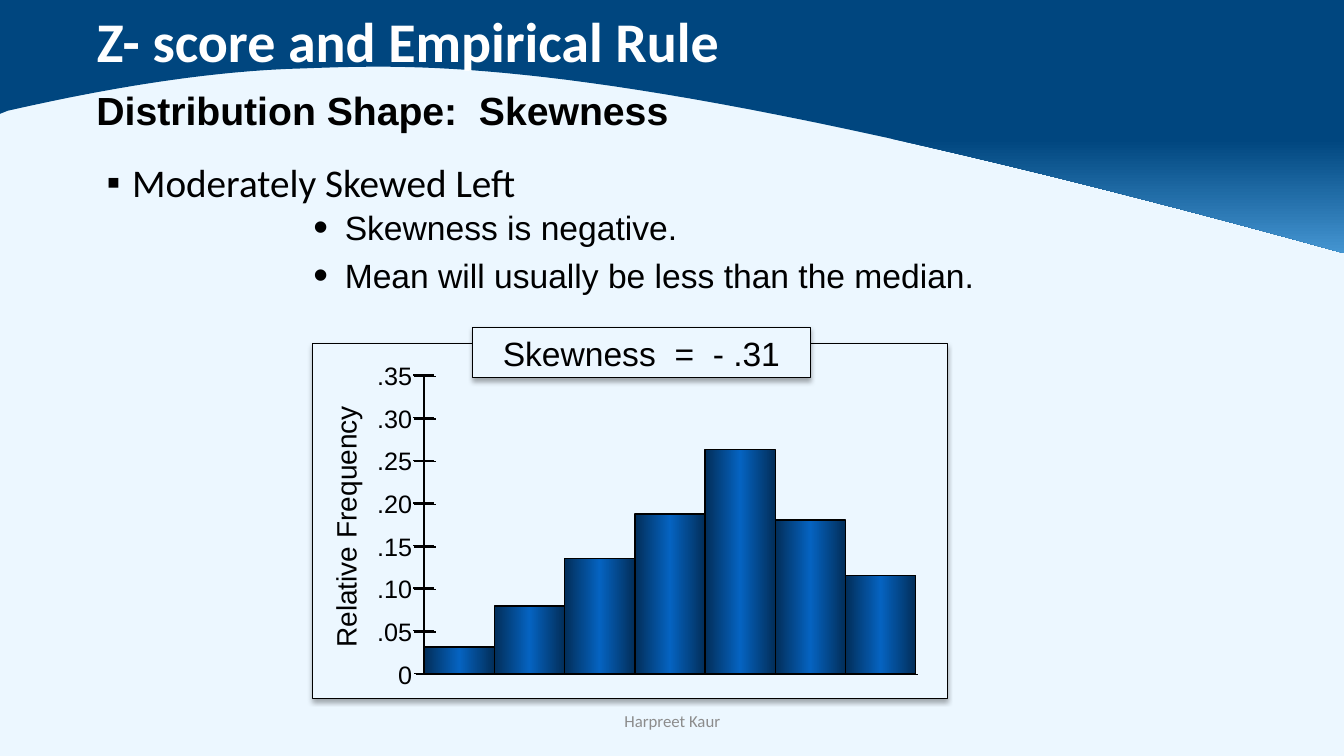
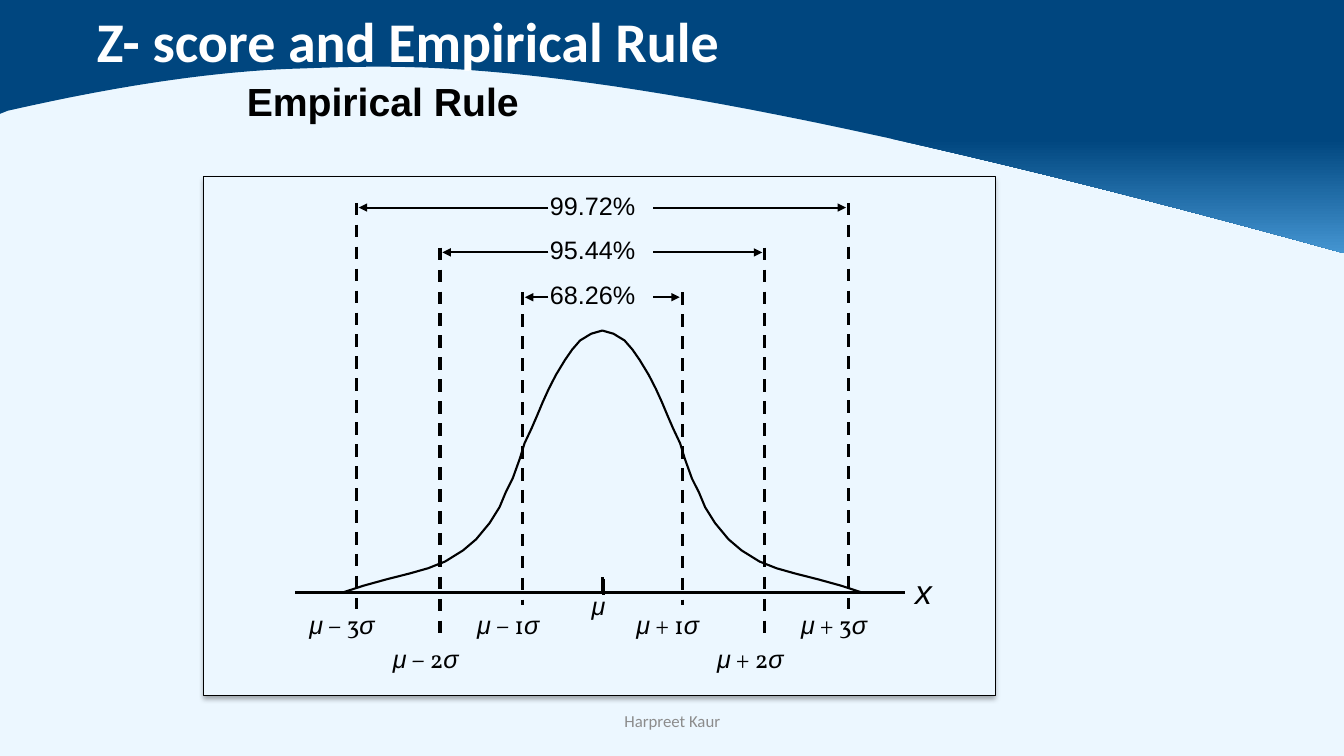
from lxml.etree import SubElement
from pptx import Presentation
from pptx.dml.color import RGBColor
from pptx.enum.dml import MSO_LINE
from pptx.enum.shapes import MSO_CONNECTOR, MSO_SHAPE
from pptx.enum.text import MSO_ANCHOR, MSO_AUTO_SIZE, PP_ALIGN
from pptx.oxml.ns import qn
from pptx.util import Cm, Pt

COLORS = {
    "paper": "ECF7FF",
    "navy": "00467F",
    "sky": "4495D1",
    "bar_edge": "022E59",
    "bar_middle": "0563C1",
    "black": "000000",
    "white": "FFFFFF",
    "grey": "8C8C8C",
}
SLIDE_WIDTH, SLIDE_HEIGHT = 33.87, 19.05
TITLE = "Z- score and Empirical Rule"
FOOTER = "Harpreet Kaur"
SOFT_SHADOW = {"alpha": 32, "blur": 3.5, "distance": 2.2, "angle": 90}
LINE_SHADOW = {"alpha": 100, "blur": 0, "distance": 1.4, "angle": 45}
SWOOSH_CURVES = [
    [(33.87, 6.38), (15.29, 1.24), (10.59, 1.63), (7.47, 1.73)],
    [(7.47, 1.73), (4.32, 1.83), (0.99, 2.62), (0.2, 2.79)],
]
FREQUENCIES = [0.031, 0.079, 0.135, 0.187, 0.263, 0.18, 0.115]
TICK_LABELS = ["0", ".05", ".10", ".15", ".20", ".25", ".30", ".35"]
BELL_FLANK = [
    (0.28, 0.08), (0.56, 0.25), (0.76, 0.48), (0.94, 0.74), (1.17, 1.12),
    (1.35, 1.47), (1.5, 1.8), (1.63, 2.11), (1.78, 2.46), (1.96, 2.84),
    (2.08, 3.23), (2.26, 3.73), (2.44, 4.09), (2.59, 4.45), (2.84, 4.85),
    (3.18, 5.26), (3.51, 5.54), (3.96, 5.82), (4.39, 5.99), (4.85, 6.12),
    (5.44, 6.27), (6.02, 6.43), (6.54, 6.6),
]
SIGMA_BANDS = [
    ("68.26%", 2.01, 10.8, 10.77),
    ("95.44%", 4.09, 11.63, 11.63),
    ("99.72%", 6.2, 10.9, 10.77),
]


def color(name):
    """Return the named colour."""
    return RGBColor.from_string(COLORS[name])


def lengths(values):
    """Turn centimetre numbers into slide lengths."""
    return [Cm(value) for value in values]


def add_shadow(shape, alpha, blur, distance, angle):
    """Give a shape or connector an outer black shadow."""
    properties = shape.element.spPr
    effects = properties.find(qn("a:effectLst"))
    if effects is None:
        effects = SubElement(properties, qn("a:effectLst"))
    shadow = SubElement(effects, qn("a:outerShdw"), blurRad=str(Pt(blur)), dist=str(Pt(distance)),
                        dir=str(angle * 60000), algn="t", rotWithShape="0")
    black = SubElement(shadow, qn("a:srgbClr"), val=COLORS["black"])
    SubElement(black, qn("a:alpha"), val=str(alpha * 1000))


def fill_gradient(shape, stops, angle):
    """Fill a shape with a linear gradient of (percent, colour) stops."""
    shape.fill.gradient()
    shape.fill.gradient_angle = angle
    stop_list = shape.element.spPr.find(".//" + qn("a:gsLst"))
    for stop in list(stop_list):
        stop_list.remove(stop)
    for percent, name in stops:
        stop = SubElement(stop_list, qn("a:gs"), pos=str(percent * 1000))
        SubElement(stop, qn("a:srgbClr"), val=COLORS[name])


def add_bullet(paragraph, character, indent, hanging, percent):
    """Give a paragraph a hanging bullet."""
    properties = paragraph._p.get_or_add_pPr()
    properties.set("marL", str(Cm(indent)))
    properties.set("indent", str(-Cm(hanging)))
    SubElement(properties, qn("a:buSzPct"), val=str(percent * 1000))
    SubElement(properties, qn("a:buFont"), typeface="Arial")
    SubElement(properties, qn("a:buChar"), char=character)


def write_text(shape, paragraphs, size=18, font="Arial", ink="black", bold=False, italic=False,
               align=PP_ALIGN.LEFT, anchor=MSO_ANCHOR.TOP, wrap=True, line_spacing=None,
               gap=0, bullet=None):
    """Write paragraphs, each a string or a list of (text, font, italic) runs."""
    frame = shape.text_frame
    frame.auto_size = MSO_AUTO_SIZE.NONE
    frame.word_wrap = wrap
    frame.vertical_anchor = anchor
    for index, content in enumerate(paragraphs):
        paragraph = frame.add_paragraph() if index else frame.paragraphs[0]
        if bullet:
            add_bullet(paragraph, **bullet)
        paragraph.alignment = align
        if line_spacing:
            paragraph.line_spacing = line_spacing
        if index and gap:
            paragraph.space_before = Pt(gap)
        runs = [(content, font, italic)] if isinstance(content, str) else content
        for text, run_font, run_italic in runs:
            run = paragraph.add_run()
            run.text = text
            run.font.name = run_font
            run.font.size = Pt(size)
            run.font.bold = bold
            run.font.italic = run_italic
            run.font.color.rgb = color(ink)


def add_text(slide, box, *paragraphs, **text_format):
    """Add a text box and return it."""
    shape = slide.shapes.add_textbox(*lengths(box))
    write_text(shape, paragraphs, **text_format)
    return shape


def add_rectangle(slide, box, line_width, shadow=None):
    """Add a paper-coloured rectangle with a black outline."""
    shape = slide.shapes.add_shape(MSO_SHAPE.RECTANGLE, *lengths(box))
    shape.shadow.inherit = False
    shape.fill.solid()
    shape.fill.fore_color.rgb = color("paper")
    shape.line.color.rgb = color("black")
    shape.line.width = Pt(line_width)
    if shadow:
        add_shadow(shape, **shadow)
    return shape


def add_line(slide, start, end, width, dashed=False, arrow=False, shadow=None):
    """Add a straight black line."""
    connector = slide.shapes.add_connector(MSO_CONNECTOR.STRAIGHT, *lengths(start + end))
    connector.line.color.rgb = color("black")
    connector.line.width = Pt(width)
    if dashed:
        connector.line.dash_style = MSO_LINE.DASH
    if arrow:
        SubElement(connector.element.spPr.find(qn("a:ln")), qn("a:tailEnd"), type="triangle")
    SubElement(connector.element.spPr, qn("a:effectLst"))
    if shadow:
        add_shadow(connector, **shadow)


def add_outline(slide, points):
    """Add a closed freeform through the points."""
    vertices = [lengths(point) for point in points]
    builder = slide.shapes.build_freeform(*vertices[0], scale=1.0)
    builder.add_line_segments(vertices[1:], close=True)
    shape = builder.convert_to_shape()
    shape.shadow.inherit = False
    return shape


def sample_curve(controls, steps=40):
    """Return points along a cubic curve."""
    points = []
    for step in range(steps + 1):
        t = step / steps
        weights = [(1 - t) ** 3, 3 * t * (1 - t) ** 2, 3 * t * t * (1 - t), t ** 3]
        points.append(tuple(sum(weight * control[axis] for weight, control in zip(weights, controls))
                            for axis in (0, 1)))
    return points


def add_framed_slide(presentation):
    """Add a slide with the swoosh, title and footer."""
    slide = presentation.slides.add_slide(presentation.slide_layouts[5])
    slide.background.fill.solid()
    slide.background.fill.fore_color.rgb = color("paper")
    curve = [point for controls in SWOOSH_CURVES for point in sample_curve(controls)]
    swoosh = add_outline(slide, [(0, 2.87), (0, 0), (SLIDE_WIDTH, 0)] + curve)
    fill_gradient(swoosh, [(0, "navy"), (55, "navy"), (100, "sky")], 270)
    swoosh.line.fill.background()
    slide.shapes.element.insert(2, swoosh.element)
    title = slide.shapes.title
    title.left, title.top, title.width, title.height = lengths((2.19, 0.28, 21.2, 1.78))
    write_text(title, [TITLE], size=40, font="Calibri", ink="white", bold=True,
               anchor=MSO_ANCHOR.MIDDLE, line_spacing=0.8)
    add_text(slide, (11.23, 17.65, 11.43, 1.02), FOOTER, size=12, font="Calibri", ink="grey",
             align=PP_ALIGN.CENTER, anchor=MSO_ANCHOR.MIDDLE)
    return slide


def add_histogram(slide, box):
    """Draw the relative frequency histogram in its panel."""
    left, top = box[:2]
    axis_x, base_y, scale_top = left + 2.8, top + 8.31, top + 0.79
    tick_step = (base_y - scale_top) / (len(TICK_LABELS) - 1)
    bar_width = 1.77
    add_rectangle(slide, box, 0.5, SOFT_SHADOW)
    add_line(slide, (axis_x - 0.23, base_y), (left + 15.22, base_y), 1, shadow=LINE_SHADOW)
    add_line(slide, (axis_x, base_y), (axis_x, scale_top), 1, shadow=LINE_SHADOW)
    for index, label in enumerate(TICK_LABELS):
        y = base_y - index * tick_step
        if index:
            add_line(slide, (axis_x - 0.26, y), (axis_x + 0.28, y), 1, shadow=LINE_SHADOW)
        add_text(slide, (left + 1.3, y - 0.49, 1.47, 1.02), label, align=PP_ALIGN.RIGHT, wrap=False)
    axis_title = add_text(slide, (left - 2.49, top + 4.07, 6.65, 1.09), "Relative Frequency",
                          size=20, align=PP_ALIGN.CENTER, wrap=False)
    axis_title.rotation = 270
    for index, frequency in enumerate(FREQUENCIES):
        height = frequency / 0.05 * tick_step
        bar = add_rectangle(slide, (axis_x + 0.02 + index * bar_width, base_y - height,
                                    bar_width, height), 1)
        fill_gradient(bar, [(0, "bar_edge"), (50, "bar_middle"), (100, "bar_edge")], 0)
    callout = add_rectangle(slide, (left + 4.04, top - 0.41, 8.51, 1.27), 1, SOFT_SHADOW)
    write_text(callout, ["Skewness  =  - .31"], size=24, align=PP_ALIGN.CENTER,
               anchor=MSO_ANCHOR.MIDDLE, wrap=False)


def add_sigma_band(slide, box, mean_x, number, band):
    """Draw one pair of sigma limits with its arrows and labels."""
    left, top = box[:2]
    percent, half_width, dash_end, label_top = band
    dash_top = top + 4.05 - 1.13 * number
    arrow_y = dash_top + 0.12
    add_text(slide, (left + 8.48, dash_top - 0.45, 3.18, 1.19), percent, wrap=False)
    for side, sign, arrow_start in ((-1, "–", 8.69), (1, "+", 11.33)):
        x = mean_x + side * half_width
        add_line(slide, (x, dash_top), (x, top + dash_end), 2.25, dashed=True)
        add_line(slide, (left + arrow_start, arrow_y), (x - side * 0.06, arrow_y), 1.5, arrow=True)
        runs = [("μ", "Arial", True), (f" {sign} {number}", "Vollkorn", False), ("σ", "Arial", True)]
        add_text(slide, (x - 1.68, top + label_top, 2.64, 1.19), runs,
                 align=PP_ALIGN.CENTER, wrap=False)


def add_bell_diagram(slide, box):
    """Draw the normal curve with its sigma limits in a panel."""
    left, top = box[:2]
    mean_x, peak_y, base_y = left + 10.05, top + 3.88, top + 10.48
    add_rectangle(slide, box, 0.5, SOFT_SHADOW)
    add_line(slide, (mean_x, base_y - 0.38), (mean_x, base_y + 0.03), 2.25, shadow=LINE_SHADOW)
    left_flank = [(mean_x - x, peak_y + y) for x, y in reversed(BELL_FLANK)]
    right_flank = [(mean_x + x, peak_y + y) for x, y in BELL_FLANK]
    bell = add_outline(slide, left_flank + [(mean_x, peak_y)] + right_flank)
    bell.fill.background()
    bell.line.color.rgb = color("black")
    bell.line.width = Pt(1.5)
    add_line(slide, (left + 2.31, base_y), (left + 17.68, base_y), 1.5)
    add_text(slide, (left + 17.68, top + 9.82, 0.94, 1.27), "x", size=24, italic=True, wrap=False)
    add_text(slide, (left + 9.53, top + 10.31, 0.97, 1.19), "μ", italic=True, wrap=False)
    for number, band in enumerate(SIGMA_BANDS, start=1):
        add_sigma_band(slide, box, mean_x, number, band)


def add_skewness_slide(presentation):
    """Build the slide on left skewness."""
    slide = add_framed_slide(presentation)
    add_text(slide, (2.18, 2.18, 15.9, 1.47), "Distribution Shape:  Skewness", size=28, bold=True,
             line_spacing=0.9)
    add_text(slide, (2.44, 3.99, 13.97, 1.45), "Moderately Skewed Left", size=28, font="Calibri",
             line_spacing=0.9,
             bullet={"character": "▪", "indent": 0.64, "hanging": 0.64, "percent": 100})
    add_text(slide, (6.38, 5.08, 21.59, 2.54), "Skewness is negative.",
             "Mean will usually be less than the median.", size=24, gap=6,
             bullet={"character": "•", "indent": 2.06, "hanging": 0.79, "percent": 125})
    add_histogram(slide, (7.87, 8.66, 16, 8.94))


def add_empirical_rule_slide(presentation):
    """Build the slide on the empirical rule."""
    slide = add_framed_slide(presentation)
    add_text(slide, (5.97, 1.57, 7.98, 1.93), "Empirical Rule", size=28, bold=True,
             anchor=MSO_ANCHOR.MIDDLE)
    add_bell_diagram(slide, (5.13, 4.45, 19.96, 13.08))


def main():
    """Build and save the presentation."""
    presentation = Presentation()
    presentation.slide_width, presentation.slide_height = lengths((SLIDE_WIDTH, SLIDE_HEIGHT))
    add_skewness_slide(presentation)
    add_empirical_rule_slide(presentation)
    presentation.save("out.pptx")


if __name__ == "__main__":
    main()
